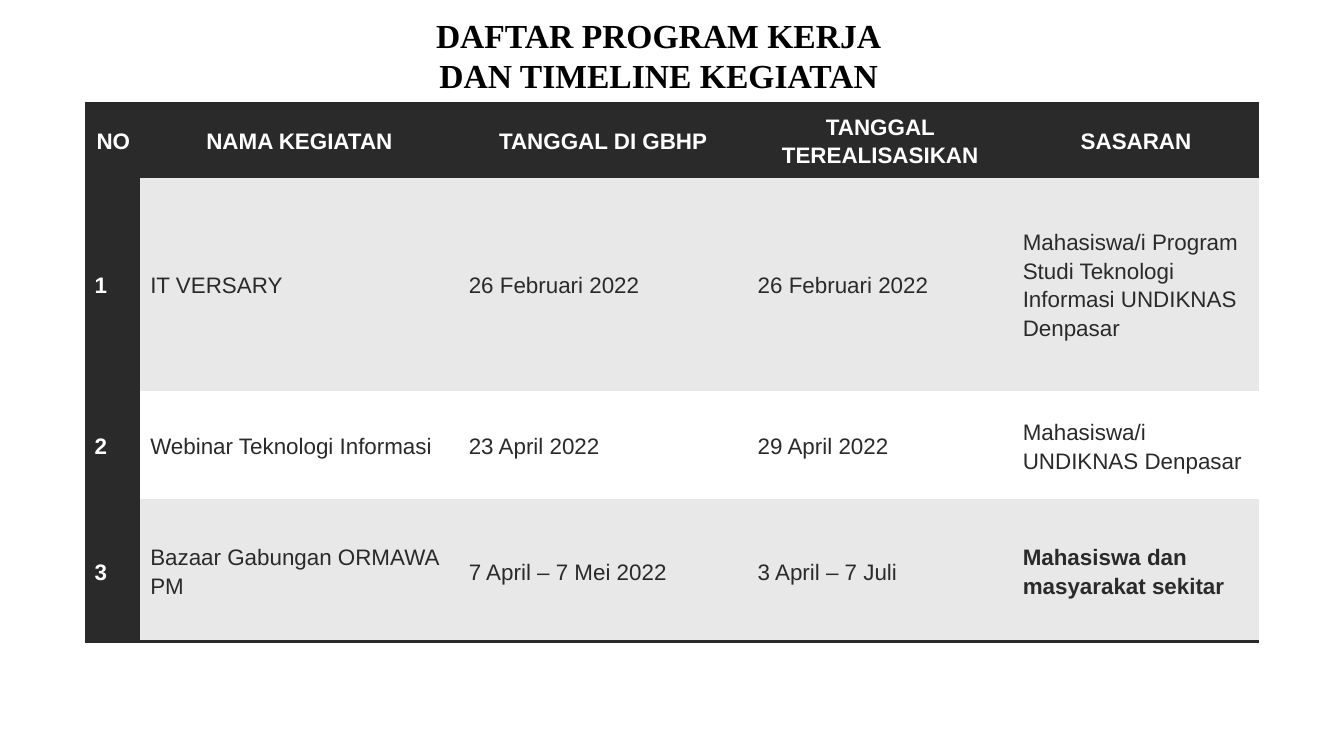
from dataclasses import dataclass

from lxml.etree import SubElement
from pptx import Presentation
from pptx.dml.color import RGBColor
from pptx.enum.text import MSO_ANCHOR as Anchor, MSO_AUTO_SIZE as AutoSize, PP_ALIGN as Align
from pptx.oxml.ns import qn
from pptx.util import Cm, Pt

NO_STYLE_NO_GRID = "{2D5ABB26-0587-4C30-8999-92F81FD0307C}"


@dataclass(frozen=True)
class Theme:
    dark: str = "2A2A2A"
    band: str = "E8E8E8"
    white: str = "FFFFFF"
    black: str = "000000"
    title_font: str = "Times New Roman"
    table_font: str = "Arial"
    title_size: int = 18
    table_size: int = 12
    rule_width: int = 2


class SlideBuilder:
    def __init__(self, slide, theme):
        self.slide = slide
        self.theme = theme

    def format_runs(self, paragraph, name, size, color, bold):
        for run in paragraph.runs:
            run.font.name = name
            run.font.size = Pt(size)
            run.font.bold = bold
            run.font.color.rgb = RGBColor.from_string(color)

    def add_title(self, text, left, top, width, height):
        title = self.slide.shapes.title
        title.left, title.top, title.width, title.height = map(Cm, (left, top, width, height))
        frame = title.text_frame
        frame.text = text
        frame.auto_size = AutoSize.NONE
        frame.vertical_anchor = Anchor.TOP
        frame.margin_left = frame.margin_right = Cm(0.25)
        frame.margin_top = frame.margin_bottom = Cm(0.25)
        for paragraph in frame.paragraphs:
            paragraph.alignment = Align.CENTER
            self.format_runs(paragraph, self.theme.title_font, self.theme.title_size,
                             self.theme.black, True)

    def add_table(self, rows, left, top, column_widths, row_heights, bold_cells):
        """Dark header row and first column; body rows banded from the first."""
        frame = self.slide.shapes.add_table(
            len(rows), len(column_widths), Cm(left), Cm(top),
            Cm(sum(column_widths)), Cm(sum(row_heights)))
        table = frame.table
        next(frame.element.iter(qn("a:tableStyleId"))).text = NO_STYLE_NO_GRID
        table.first_row = table.first_col = True
        for column, width in zip(table.columns, column_widths):
            column.width = Cm(width)
        for row, height in zip(table.rows, row_heights):
            row.height = Cm(height)

        last_row = len(rows) - 1
        for i, texts in enumerate(rows):
            for j, text in enumerate(texts):
                is_heading = i == 0 or j == 0
                body_fill = self.theme.band if i % 2 else self.theme.white
                cell = table.cell(i, j)
                self.fill_cell(
                    cell, text,
                    fill=self.theme.dark if is_heading else body_fill,
                    color=self.theme.white if is_heading else self.theme.dark,
                    bold=is_heading or (i, j) in bold_cells,
                    alignment=Align.CENTER if i == 0 else Align.LEFT)
                if i == 0:
                    self.add_rules(cell, "a:lnT", "a:lnB")
                elif i == last_row:
                    self.add_rules(cell, "a:lnB")
        return table

    def fill_cell(self, cell, text, fill, color, bold, alignment):
        cell.fill.solid()
        cell.fill.fore_color.rgb = RGBColor.from_string(fill)
        cell.vertical_anchor = Anchor.MIDDLE
        cell.margin_left = cell.margin_right = Cm(0.19)
        cell.margin_top = cell.margin_bottom = 0
        cell.text_frame.text = text
        paragraph = cell.text_frame.paragraphs[0]
        paragraph.alignment = alignment
        paragraph.line_spacing = 1.15
        self.format_runs(paragraph, self.theme.table_font, self.theme.table_size, color, bold)

    def add_rules(self, cell, *edges):
        """Draw borders on the edges, which must be in schema order."""
        properties = next(cell.text_frame._txBody.getparent().iter(qn("a:tcPr")))
        for position, edge in enumerate(edges):
            line = SubElement(properties, qn(edge), w=str(Pt(self.theme.rule_width)))
            SubElement(SubElement(line, qn("a:solidFill")), qn("a:srgbClr"), val=self.theme.dark)
            properties.insert(position, line)


def main():
    presentation = Presentation()
    presentation.slide_width = Cm(25.4)
    presentation.slide_height = Cm(14.28)
    title_only = presentation.slide_layouts[5]
    builder = SlideBuilder(presentation.slides.add_slide(title_only), Theme())

    builder.add_title("DAFTAR PROGRAM KERJA\nDAN TIMELINE KEGIATAN", 5.59, 0.03, 13.72, 2.79)
    table = builder.add_table(
        [
            ("NO", "NAMA KEGIATAN", "TANGGAL DI GBHP", "TANGGAL TEREALISASIKAN", "SASARAN"),
            ("1", "IT VERSARY", "26 Februari 2022", "26 Februari 2022",
             "Mahasiswa/i Program Studi Teknologi Informasi UNDIKNAS Denpasar"),
            ("2", "Webinar Teknologi Informasi", "23 April 2022", "29 April 2022",
             "Mahasiswa/i UNDIKNAS Denpasar"),
            ("3", "Bazaar Gabungan ORMAWA PM", "7 April – 7 Mei 2022", "3 April – 7 Juli",
             "Mahasiswa dan masyarakat sekitar"),
        ],
        left=1.6, top=1.95,
        column_widths=(1.05, 6.02, 5.46, 5.01, 4.66),
        row_heights=(1.38, 4.06, 2.04, 2.69),
        bold_cells={(3, 4)})
    table.cell(0, 0).text_frame.paragraphs[0].alignment = Align.RIGHT

    presentation.save("out.pptx")


if __name__ == "__main__":
    main()
